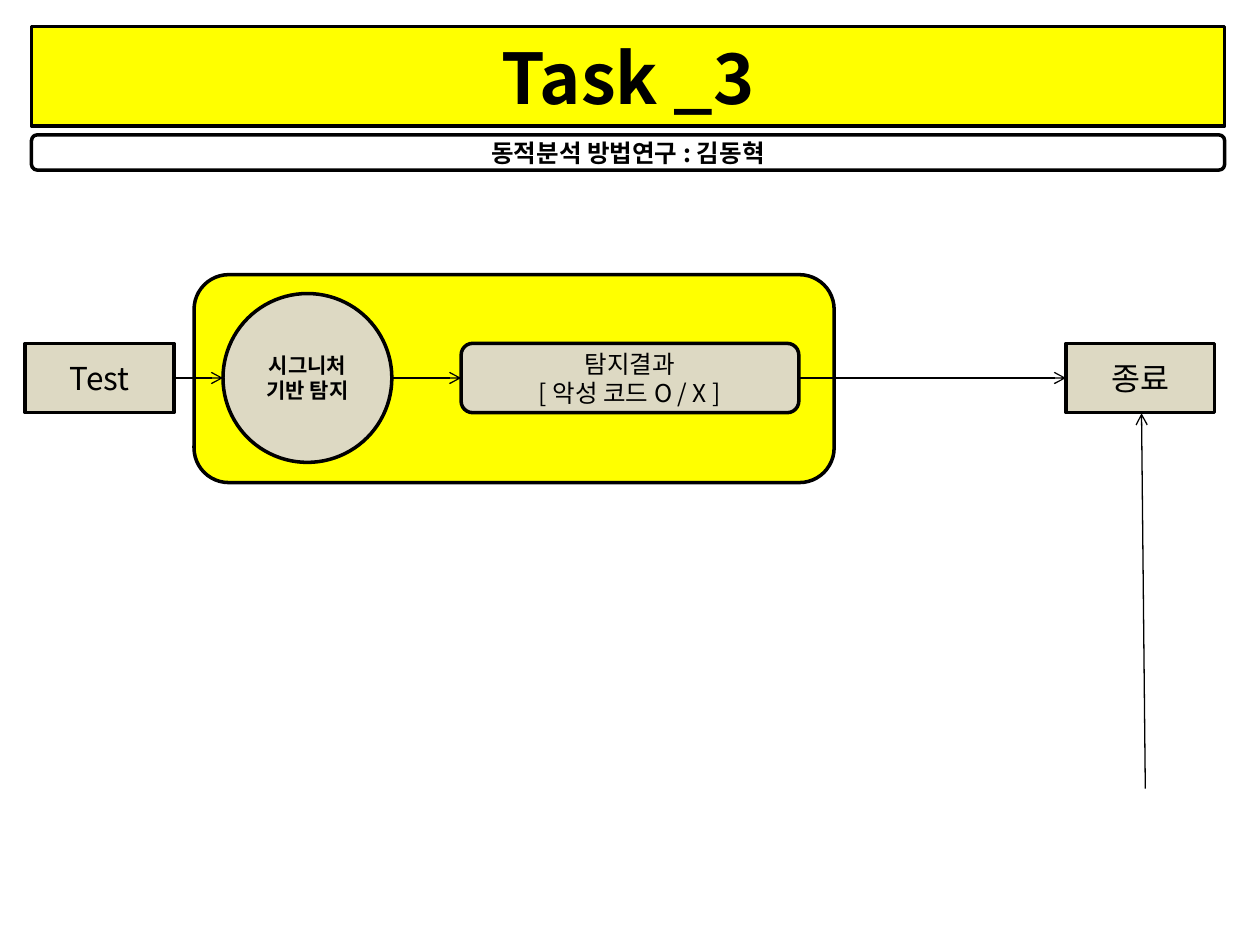
from lxml.etree import SubElement
from pptx import Presentation
from pptx.dml.color import RGBColor
from pptx.enum.shapes import MSO_CONNECTOR, MSO_SHAPE
from pptx.enum.text import MSO_ANCHOR, MSO_AUTO_SIZE, PP_ALIGN
from pptx.oxml import parse_xml
from pptx.oxml.ns import nsdecls, qn
from pptx.util import Inches, Pt

COLOURS = {"ink": "000000", "yellow": "FFFF00", "beige": "DDD9C3"}
FONT = "Noto Sans CJK KR"
FLOW_Y = 3


def colour(name):
    """Return a named colour of the slide."""
    return RGBColor.from_string(COLOURS[name])


def paint(shape, fill):
    """Give a shape its fill and black outline."""
    if fill:
        shape.fill.solid()
        shape.fill.fore_color.rgb = colour(fill)
    else:
        shape.fill.background()
    shape.line.color.rgb = colour("ink")
    shape.line.width = Pt(2)


def write(shape, lines, size, bold=False):
    """Write centred paragraphs into a shape."""
    frame = shape.text_frame
    frame_format = {"word_wrap": True, "auto_size": MSO_AUTO_SIZE.NONE,
                    "vertical_anchor": MSO_ANCHOR.MIDDLE}
    for name, value in frame_format.items():
        setattr(frame, name, value)
    for index, line in enumerate(lines):
        para = frame.add_paragraph() if index else frame.paragraphs[0]
        para.alignment = PP_ALIGN.CENTER
        para.line_spacing = Pt(size * 1.2)
        span = para.add_run()
        span.text = line
        font_format = {"name": FONT, "size": Pt(size), "bold": bold}
        for name, value in font_format.items():
            setattr(span.font, name, value)
        span.font.color.rgb = colour("ink")
        SubElement(span.font._element, qn("a:ea")).set("typeface", FONT)


def add_title(page, area, text):
    """Turn the title placeholder into the rounded banner."""
    title = page.shapes.title
    for name, value in zip(("left", "top", "width", "height"), area):
        setattr(title, name, Inches(value))
    outline = parse_xml(f'<a:prstGeom {nsdecls("a")} prst="roundRect"><a:avLst/></a:prstGeom>')
    title._element.spPr.find(qn("a:xfrm")).addnext(outline)
    paint(title, "yellow")
    write(title, [text], 40, True)


def add_box(page, kind, area, fill=None, lines=(), size=18, bold=False):
    """Add an outlined shape, with text if there is any."""
    box = page.shapes.add_shape(kind, *map(Inches, area))
    box.shadow.inherit = False
    paint(box, fill)
    if lines:
        write(box, lines, size, bold)


def add_arrow(page, start, end):
    """Add a thin line with an open arrowhead at its end."""
    arrow = page.shapes.add_connector(MSO_CONNECTOR.STRAIGHT, *map(Inches, start + end))
    arrow.line.color.rgb = colour("ink")
    arrow.line.width = Pt(0.75)
    SubElement(arrow.line._get_or_add_ln(), qn("a:tailEnd")).set("type", "arrow")
    SubElement(arrow._element.spPr, qn("a:effectLst"))


def main():
    """Build the detection flow slide."""
    deck = Presentation()
    deck.slide_width, deck.slide_height = Inches(10), Inches(7.5)
    page = deck.slides.add_slide(deck.slide_layouts[5])
    rounded, rectangle = MSO_SHAPE.ROUNDED_RECTANGLE, MSO_SHAPE.RECTANGLE

    add_title(page, (0.25, 0.21, 9.47, 0.79), "Task _3")
    add_box(page, rounded, (0.25, 1.07, 9.47, 0.28), None, ["동적분석 방법연구 : 김동혁"], 14, True)

    add_box(page, rounded, (1.54, 2.18, 5.08, 1.65), "yellow")
    steps = [
        (rectangle, 0.2, 1.18, 0.55, ["Test"], 18, False),
        (MSO_SHAPE.OVAL, 1.77, 1.34, 1.34, ["시그니처 기반 탐지"], 12, True),
        (rounded, 3.66, 2.68, 0.55, ["탐지결과", "[ 악성 코드 O / X ]"], 14, False),
        (rectangle, 8.46, 1.18, 0.55, ["종료"], 18, False),
    ]
    for kind, left, width, height, lines, size, bold in steps:
        area = (left, FLOW_Y - height / 2, width, height)
        add_box(page, kind, area, "beige", lines, size, bold)
    for step, following in zip(steps, steps[1:]):
        add_arrow(page, (step[1] + step[2], FLOW_Y), (following[1], FLOW_Y))
    add_arrow(page, (9.09, 6.26), (9.06, 3.28))

    deck.save("out.pptx")


main()
